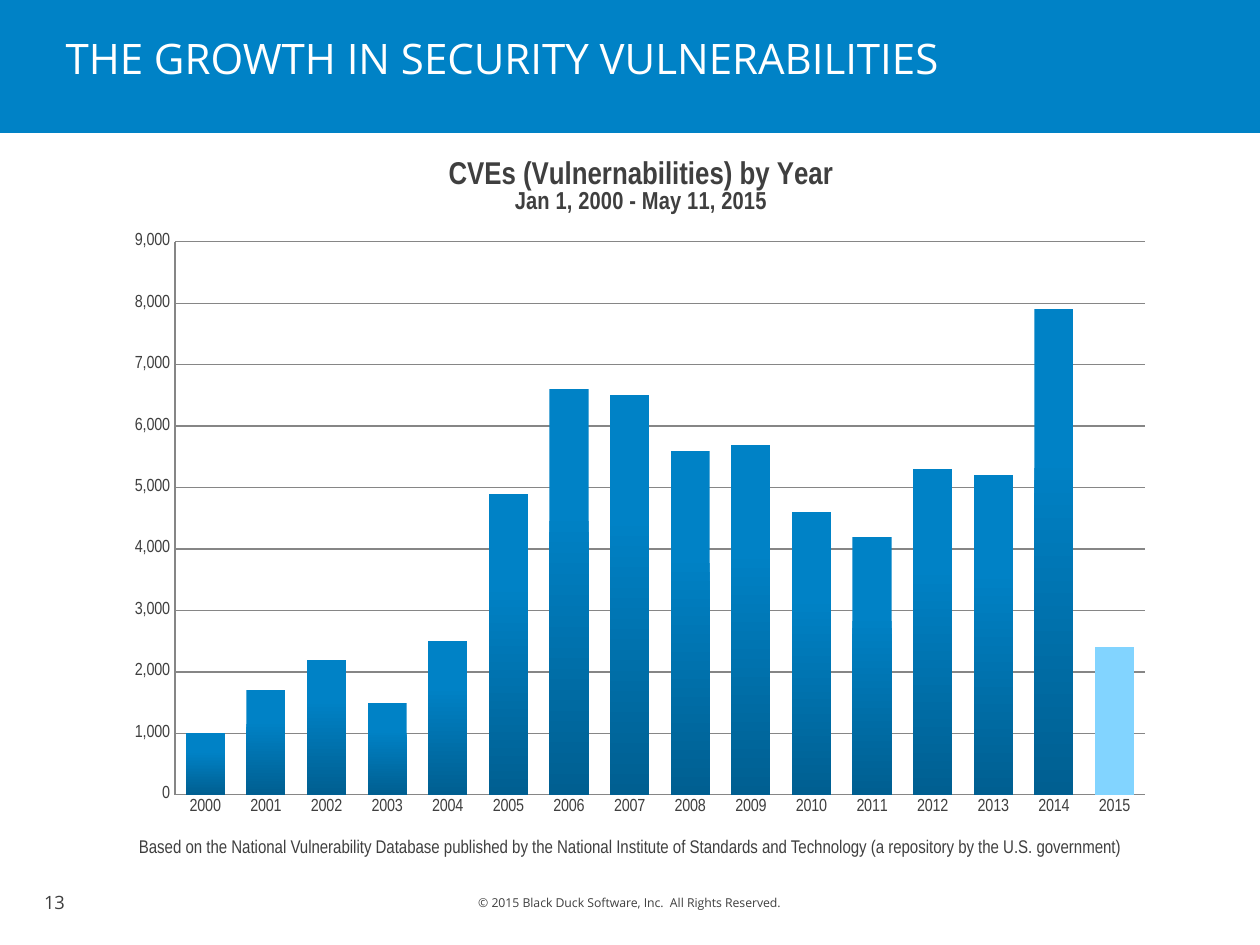
import pptx
import pptx.chart.data
import pptx.dml.color
import pptx.enum.chart
import pptx.enum.shapes
import pptx.enum.text
import pptx.oxml
import pptx.oxml.ns
import pptx.util

PX = pptx.util.Inches(1) // 126
COLORS = {
    name: pptx.dml.color.RGBColor.from_string(value)
    for name, value in {
        "blue": "0082C6",
        "deep": "005F91",
        "partial": "82D4FF",
        "text": "3F3F3F",
        "axis": "868686",
        "white": "FFFFFF",
    }.items()
}
ALIGN = pptx.enum.text.PP_ALIGN


def style(font, name, size, color, bold=False):
    font.name = name
    font.size = pptx.util.Pt(size)
    font.color.rgb = COLORS[color]
    font.bold = bold


prs = pptx.Presentation()
prs.slide_width = 1260 * PX
prs.slide_height = 945 * PX
slide = prs.slides.add_slide(prs.slide_layouts[5])

# Header band, kept behind the title
band = slide.shapes.add_shape(
    pptx.enum.shapes.MSO_SHAPE.RECTANGLE, 0, 0, 1260 * PX, 133 * PX)
band.shadow.inherit = False
band.fill.solid()
band.fill.fore_color.rgb = COLORS["blue"]
band.line.fill.background()

title = slide.shapes.title
band.element.addnext(title.element)
title.left, title.top, title.width, title.height = 53 * PX, 0, 1046 * PX, 116 * PX
title.text_frame.text = "THE GROWTH IN SECURITY VULNERABILITIES"
title.text_frame.auto_size = pptx.enum.text.MSO_AUTO_SIZE.NONE
title.text_frame.vertical_anchor = pptx.enum.text.MSO_ANCHOR.MIDDLE
title.text_frame.paragraphs[0].alignment = ALIGN.LEFT
style(title.text_frame.paragraphs[0].runs[0].font, "Open Sans", 24, "white")

# Vulnerabilities per year
years = [str(year) for year in range(2000, 2016)]
cve_counts = [1000, 1700, 2200, 1500, 2500, 4900, 6600, 6500,
              5600, 5700, 4600, 4200, 5300, 5200, 7900, 2400]
cve_data = pptx.chart.data.CategoryChartData(number_format="#,##0")
cve_data.categories = years
cve_data.add_series("Series 1", cve_counts)
chart = slide.shapes.add_chart(
    pptx.enum.chart.XL_CHART_TYPE.COLUMN_STACKED,
    115 * PX, 135 * PX, 1052 * PX, 694 * PX, cve_data).chart
style(chart.font, "Arial Narrow", 10, "text")
chart.has_legend = False

# Chart title in two lines
heading = chart.chart_title.text_frame
heading.text = "CVEs (Vulnernabilities) by Year\nJan 1, 2000 - May 11, 2015"
for line, size in zip(heading.paragraphs, (18, 14)):
    style(line.runs[0].font, "Arial Narrow", size, "text", bold=True)
chart.chart_title.include_in_layout = False

# Axes and gridlines
counts_axis = chart.value_axis
counts_axis.minimum_scale = 0
counts_axis.maximum_scale = 9000
counts_axis.major_unit = 1000
counts_axis.has_major_gridlines = True
counts_axis.tick_labels.number_format = "#,##0"
counts_axis.tick_labels.number_format_is_linked = False
for axis in (counts_axis, chart.category_axis):
    axis.major_tick_mark = pptx.enum.chart.XL_TICK_MARK.NONE
    axis.minor_tick_mark = pptx.enum.chart.XL_TICK_MARK.NONE
for line in (counts_axis.format.line, chart.category_axis.format.line,
             counts_axis.major_gridlines.format.line):
    line.color.rgb = COLORS["axis"]
    line.width = pptx.util.Pt(0.75)

# Columns: shaded downwards, with the unfinished last year in light blue
plot = chart.plots[0]
plot.vary_by_categories = False
plot.gap_width = 55
plot.overlap = 100
columns = plot.series[0]
columns.invert_if_negative = False
shade = columns.format.fill
shade.gradient()
shade.gradient_angle = 270
for stop, color, position in zip(shade.gradient_stops, ("blue", "deep"), (0.3, 1)):
    stop.color.rgb = COLORS[color]
    stop.position = position
last_year = columns.points[len(years) - 1].format.fill
last_year.solid()
last_year.fore_color.rgb = COLORS["partial"]

# Plot area as shares of the chart frame
plot_area = chart.element.find(".//" + pptx.oxml.ns.qn("c:plotArea"))
for old_layout in plot_area.findall(pptx.oxml.ns.qn("c:layout")):
    plot_area.remove(old_layout)
shares = {"x": 60 / 1052, "y": 107 / 694, "w": 970 / 1052, "h": 553 / 694}
plot_area.insert(0, pptx.oxml.parse_xml(
    f'<c:layout {pptx.oxml.ns.nsdecls("c")}><c:manualLayout>'
    '<c:layoutTarget val="inner"/><c:xMode val="edge"/><c:yMode val="edge"/>'
    + "".join(f'<c:{key} val="{share:.3f}"/>' for key, share in shares.items())
    + "</c:manualLayout></c:layout>"))

# Source note, page number and copyright line
source = ("Based on the National Vulnerability Database published by the National Institute "
          "of Standards and Technology (a repository by the U.S. government)")
notes = [
    (source, (0, 829, 1260, 35), (13, 6), "Arial Narrow", 10.5, ALIGN.CENTER),
    ("13", (39, 886, 208, 39), (5, 5), "Open Sans", 10.5, ALIGN.LEFT),
    ("© 2015 Black Duck Software, Inc.  All Rights Reserved.",
     (372, 890, 515, 30), (5, 5), "Open Sans", 7, ALIGN.CENTER),
]
for text, place, (side, edge), font_name, size, alignment in notes:
    frame = slide.shapes.add_textbox(*(length * PX for length in place)).text_frame
    frame.word_wrap = True
    frame.margin_left = frame.margin_right = side * PX
    frame.margin_top = frame.margin_bottom = edge * PX
    frame.text = text
    frame.paragraphs[0].alignment = alignment
    style(frame.paragraphs[0].runs[0].font, font_name, size, "text")

prs.save("out.pptx")
